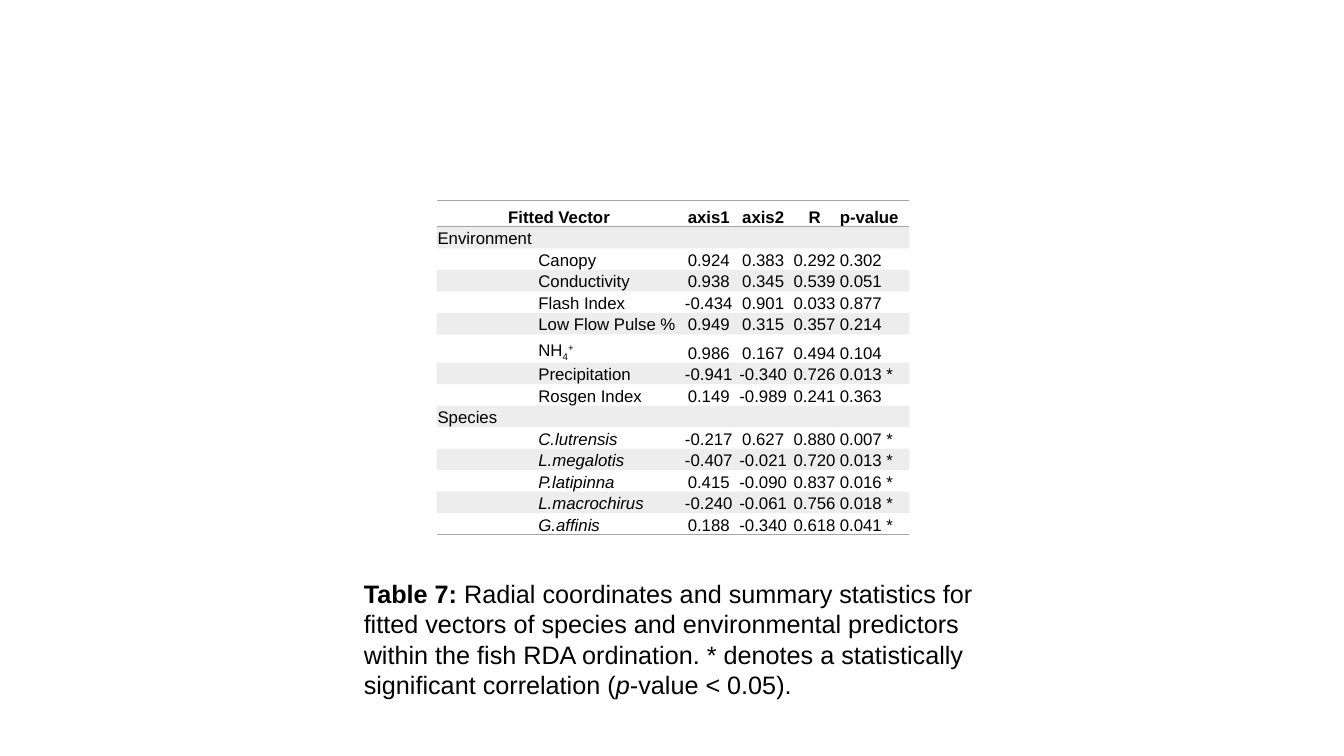
from lxml import etree
from pptx import Presentation
from pptx.dml.color import RGBColor
from pptx.enum.text import MSO_ANCHOR, MSO_AUTO_SIZE, PP_ALIGN
from pptx.oxml.ns import qn
from pptx.util import Inches, Pt

BOTTOM = MSO_ANCHOR.BOTTOM
GROW = MSO_AUTO_SIZE.SHAPE_TO_FIT_TEXT
LEFT, CENTER = PP_ALIGN.LEFT, PP_ALIGN.CENTER

BLACK = RGBColor(0x00, 0x00, 0x00)
GRAY = RGBColor(0xA5, 0xA5, 0xA5)
NO_GRID_STYLE = "{2D5ABB26-0587-4C30-8999-92F81FD0307C}"

# A run is (text, style); style: "b" bold, "i" italic, or a baseline shift in percent.
HEADER = ["Fitted Vector", "", "axis1", "axis2", "R", "p-value"]
ENVIRONMENT = [
    ([("Canopy", "")], "0.924", "0.383", "0.292", "0.302"),
    ([("Conductivity", "")], "0.938", "0.345", "0.539", "0.051"),
    ([("Flash Index", "")], "-0.434", "0.901", "0.033", "0.877"),
    ([("Low Flow Pulse %", "")], "0.949", "0.315", "0.357", "0.214"),
    ([("NH", ""), ("4", -25), ("+", 30)], "0.986", "0.167", "0.494", "0.104"),
    ([("Precipitation", "")], "-0.941", "-0.340", "0.726", "0.013 *"),
    ([("Rosgen Index", "")], "0.149", "-0.989", "0.241", "0.363"),
]
SPECIES = [
    ([("C.lutrensis", "i")], "-0.217", "0.627", "0.880", "0.007 *"),
    ([("L.megalotis", "i")], "-0.407", "-0.021", "0.720", "0.013 *"),
    ([("P.latipinna", "i")], "0.415", "-0.090", "0.837", "0.016 *"),
    ([("L.macrochirus", "i")], "-0.240", "-0.061", "0.756", "0.018 *"),
    ([("G.affinis", "i")], "0.188", "-0.340", "0.618", "0.041 *"),
]
COL_WIDTHS = [1, 1.43, 0.54, 0.54, 0.48, 0.7]
HEADER_HEIGHT, ROW_HEIGHT, AMMONIUM_HEIGHT = 0.26, 0.21, 0.28
AMMONIUM_ROW = 6

CAPTION = [
    ("Table 7: ", "b"),
    ("Radial coordinates and summary statistics for fitted vectors of species and "
     "environmental predictors within the fish RDA ordination. * denotes a "
     "statistically significant correlation (", ""),
    ("p", "i"),
    ("-value < 0.05).", ""),
]


def group_rows(name, vectors):
    """Return a heading row followed by one row per vector, as lists of runs."""
    rows = [[[(name, "")]] + [[]] * 5]
    for label, *values in vectors:
        rows.append([[], label] + [[(value, "")] for value in values])
    return rows


class SlideBuilder:
    def __init__(self, prs, font="Arial", color=BLACK):
        self.slide = prs.slides.add_slide(prs.slide_layouts[6])
        self.font = font
        self.color = color

    def add_runs(self, p, runs, size):
        for text, style in runs:
            r = p.add_run()
            r.text = text
            r.font.name = self.font
            r.font.size = Pt(size)
            r.font.color.rgb = self.color
            r.font.bold = style == "b"
            r.font.italic = style == "i"
            if isinstance(style, int):
                r.font._element.set("baseline", str(style * 1000))
        if not runs:
            end = etree.SubElement(p._p, qn("a:endParaRPr"))
            end.set("sz", str(size * 100))

    def text(self, x, y, w, h, runs, size):
        sp = self.slide.shapes.add_textbox(Inches(x), Inches(y), Inches(w), Inches(h))
        tf = sp.text_frame
        tf.word_wrap = True
        tf.auto_size = GROW
        self.add_runs(tf.paragraphs[0], runs, size)

    def border(self, cell, side):
        ln = etree.SubElement(cell._tc.get_or_add_tcPr(), qn("a:ln" + side), w=str(Pt(1)))
        fill = etree.SubElement(ln, qn("a:solidFill"))
        etree.SubElement(fill, qn("a:srgbClr"), val=str(GRAY))

    def band(self, cell):
        cell.fill.solid()
        cell.fill.fore_color.rgb = GRAY
        color = cell._tc.tcPr.find(qn("a:solidFill") + "/" + qn("a:srgbClr"))
        etree.SubElement(color, qn("a:alpha"), val="20000")

    def cell(self, cell, runs, size, align):
        cell.margin_left = cell.margin_right = cell.margin_top = Inches(0.01)
        cell.margin_bottom = 0
        cell.vertical_anchor = BOTTOM
        p = cell.text_frame.paragraphs[0]
        p.alignment = align
        self.add_runs(p, runs, size)

    def table(self, x, y, widths, heights, rows, size):
        frame = self.slide.shapes.add_table(
            len(rows), len(widths), Inches(x), Inches(y),
            Inches(sum(widths)), Inches(sum(heights)))
        table = frame.table
        table.first_row = table.horz_banding = False
        table._tbl.tblPr.find(qn("a:tableStyleId")).text = NO_GRID_STYLE
        for column, width in zip(table.columns, widths):
            column.width = Inches(width)
        for row, height in zip(table.rows, heights):
            row.height = Inches(height)
        last = len(rows) - 1
        for i, row in enumerate(rows):
            for j, runs in enumerate(row):
                cell = table.cell(i, j)
                centered = 2 <= j <= 4 or (i == 0 and j == 0)
                self.cell(cell, runs, size, CENTER if centered else LEFT)
                if i == 0:
                    self.border(cell, "T")
                if i in (0, last):
                    self.border(cell, "B")
                if i % 2:
                    self.band(cell)
                else:
                    cell.fill.background()
        table.cell(0, 0).merge(table.cell(0, 1))


def main():
    prs = Presentation()
    prs.slide_width, prs.slide_height = Inches(13.33), Inches(7.5)
    builder = SlideBuilder(prs)

    header = [[(title, "b")] if title else [] for title in HEADER]
    rows = [header] + group_rows("Environment", ENVIRONMENT) + group_rows("Species", SPECIES)
    heights = [HEADER_HEIGHT] + [ROW_HEIGHT] * (len(rows) - 1)
    heights[AMMONIUM_ROW] = AMMONIUM_HEIGHT
    builder.table(4.33, 1.99, COL_WIDTHS, heights, rows, size=12)
    builder.text(3.51, 5.69, 6.67, 1.31, CAPTION, size=18)

    prs.save("out.pptx")


if __name__ == "__main__":
    main()
